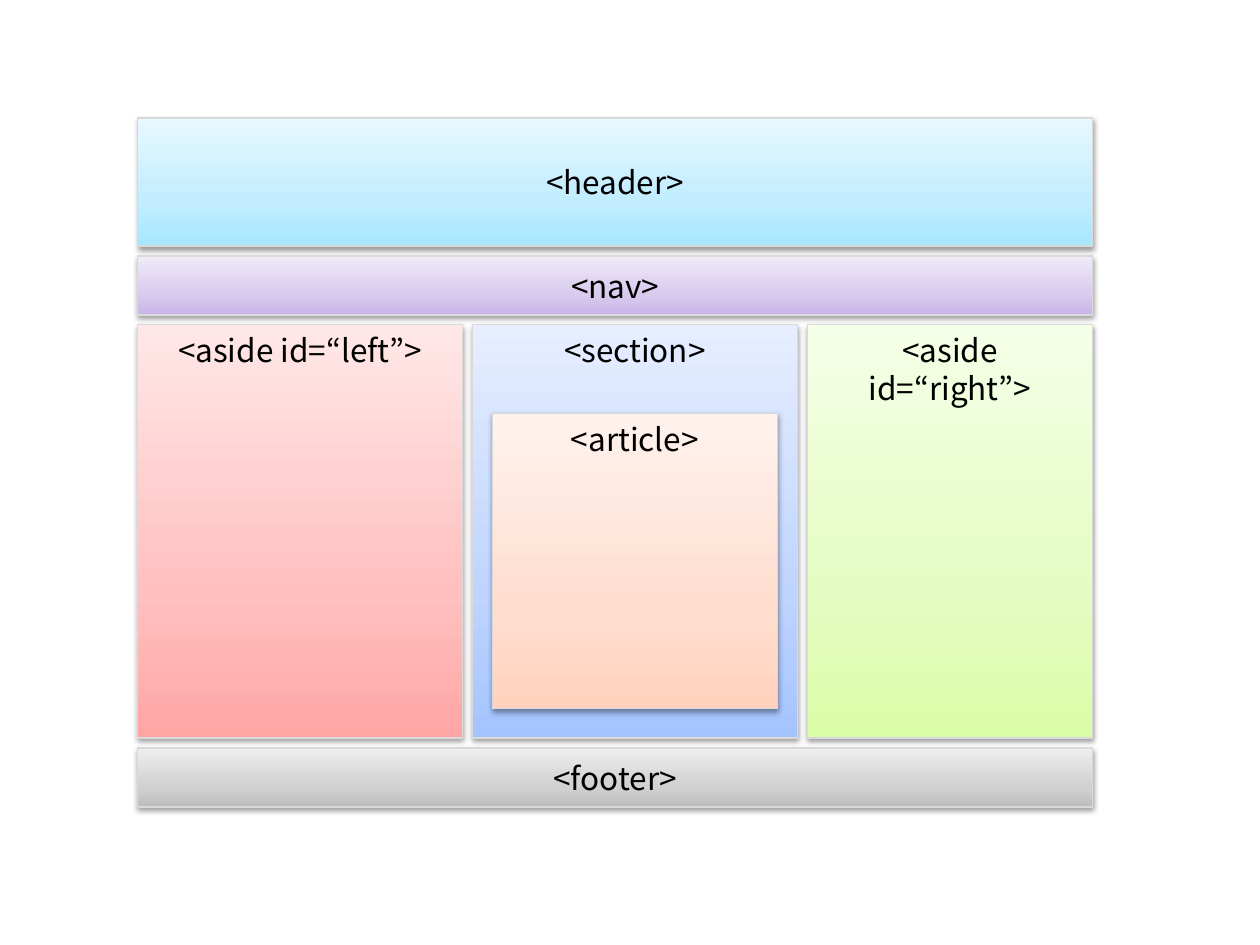
from lxml import etree
from pptx import Presentation
from pptx.dml.color import RGBColor
from pptx.enum.shapes import MSO_SHAPE
from pptx.enum.text import MSO_ANCHOR, PP_ALIGN
from pptx.oxml.ns import qn
from pptx.util import Pt

RECTANGLE = MSO_SHAPE.RECTANGLE
TOP, MIDDLE = MSO_ANCHOR.TOP, MSO_ANCHOR.MIDDLE
CENTER = PP_ALIGN.CENTER
NAMESPACE = "http://schemas.openxmlformats.org/drawingml/2006/main"
UNIT = 5.625


def color(value):
    return RGBColor.from_string(value)


def write(frame, text, font="Noto Sans CJK KR", size=18, ink="000000", anchor=MIDDLE):
    frame.word_wrap = True
    frame.vertical_anchor = anchor
    para = frame.paragraphs[0]
    para.alignment = CENTER
    span = para.add_run()
    span.text = text
    span.font.name = font
    span.font.size = Pt(size)
    span.font.color.rgb = color(ink)


deck = Presentation()
deck.slide_width, deck.slide_height = Pt(720), Pt(540)
page = deck.slides.add_slide(deck.slide_layouts[6])

left, width, gap = 14, 97, 1
header_top, header_height, bar_height = 12, 13, 6
nav_top = header_top + header_height + gap
body_top, body_height = nav_top + bar_height + gap, 42
footer_top = body_top + body_height + gap
column_width, right_width = 33, 29
section_left = left + column_width + gap
right_left = section_left + column_width + gap

regions = [
    ("<header>", left, header_top, width, header_height, MIDDLE, ("A7E6FF", "C1EDFF", "E7F8FF")),
    ("<nav>", left, nav_top, width, bar_height, MIDDLE, ("C9B5E8", "D8CBEE", "F0EAF9")),
    ("<aside id=“left”>", left, body_top, column_width, body_height, TOP, ("FFA6A5", "FFC0BF", "FFE7E7")),
    ("<section>", section_left, body_top, column_width, body_height, TOP, ("A4C4FF", "BFD4FF", "E6EEFF")),
    ("<aside id=“right”>", right_left, body_top, right_width, body_height, TOP, ("DAFDA7", "E4FCC2", "F5FFE7")),
    ("<footer>", left, footer_top, width, bar_height, MIDDLE, ("BDBDBD", "D1D1D1", "EEEEEE")),
    ("<article>", section_left + 2, body_top + 9, column_width - 4, 30, TOP, ("FFD2BD", "FFDED0", "FFF2ED")),
]

for text, x, y, across, down, anchor, shades in regions:
    box = page.shapes.add_shape(RECTANGLE, *(Pt(n * UNIT) for n in (x, y, across, down)))
    box.line.color.rgb = color("D9D9D9")
    box.line.width = Pt(0.75)
    box.shadow.inherit = False
    properties = box._element.spPr

    stops = "".join(
        f'<a:gs pos="{position * 1000}"><a:srgbClr val="{shade}"/></a:gs>'
        for position, shade in zip((0, 35, 100), shades)
    )
    gradient = etree.fromstring(
        f'<a:gradFill xmlns:a="{NAMESPACE}" rotWithShape="1"><a:gsLst>{stops}</a:gsLst>'
        '<a:lin ang="16200000" scaled="0"/></a:gradFill>'
    )
    properties.find(qn("a:prstGeom")).addnext(gradient)

    shadow = etree.fromstring(
        f'<a:outerShdw xmlns:a="{NAMESPACE}" blurRad="{Pt(3.15)}" dist="{Pt(1.57)}" '
        'dir="5400000" rotWithShape="0">'
        '<a:srgbClr val="000000"><a:alpha val="38000"/></a:srgbClr></a:outerShdw>'
    )
    properties.find(qn("a:effectLst")).append(shadow)

    write(box.text_frame, text, anchor=anchor)

deck.save("out.pptx")
